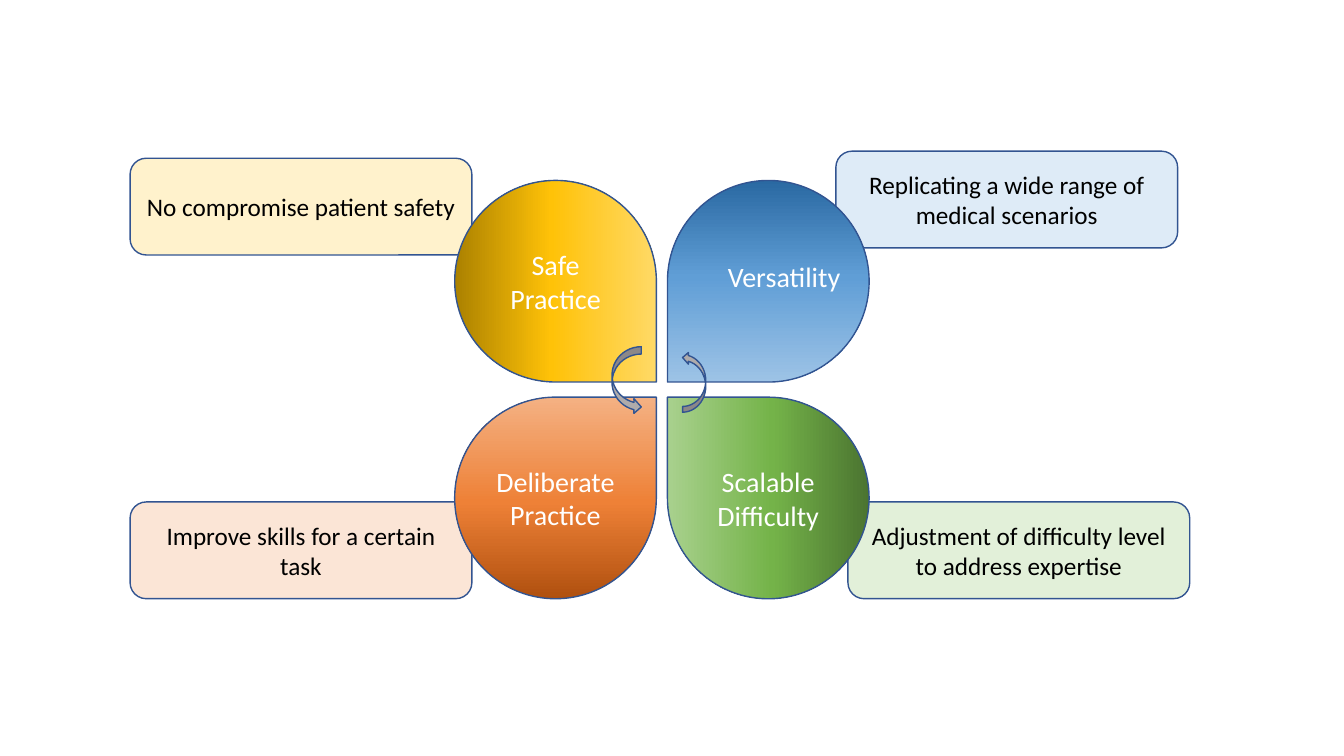
"""Build a four-petal slide on the benefits of simulation training."""
from copy import deepcopy

from pptx import Presentation
from pptx.dml.color import RGBColor
from pptx.enum.shapes import MSO_SHAPE
from pptx.enum.text import MSO_ANCHOR, MSO_AUTO_SIZE, PP_ALIGN
from pptx.oxml.ns import qn
from pptx.util import Pt

EMU_PER_PX = 9144
OUTLINE = "325491"
ARROW_FILL = "AFABAB"
CARD_SIZE = (339, 96)
PETAL_SIZE = (200, 200)
LEFT, RIGHT = 451, 662
TOP, BOTTOM = 179, 394
STOP_POSITIONS = (0, 0.48, 1)

CARDS = [
    ("No compromise patient safety", 129, 157, "FFF2CC"),
    ("Improve skills for a certain task", 129, 498, "FBE5D6"),
    ("Adjustment of difficulty level to address expertise", 841, 498, "E2F0D9"),
    ("Replicating a wide range of medical scenarios", 829, 150, "DEEBF7"),
]
PETALS = [
    (["Deliberate", "Practice"], LEFT, BOTTOM, 0, "horz", ("B0500F", "EE8137", "F4B183")),
    (["Safe", "Practice"], LEFT, TOP, 90, "vert270", ("AB8100", "FFC208", "FFD966")),
    (["Scalable", "Difficulty"], RIGHT, BOTTOM, 270, "vert", ("4B7430", "74B349", "A9D18E")),
    ([], RIGHT, TOP, 180, "horz", ("2A69A2", "609ED6", "9DC3E6")),
]


def px(*lengths):
    """Turn pixel lengths into EMU."""
    return [length * EMU_PER_PX for length in lengths]


def color(hex_text):
    """Turn a hex string into a colour."""
    return RGBColor.from_string(hex_text)


def add_outlined(slide, kind, left, top, width, height):
    """Add a preset shape with the common outline and no shadow."""
    shape = slide.shapes.add_shape(kind, *px(left, top, width, height))
    shape.shadow.inherit = False
    shape.line.color.rgb = color(OUTLINE)
    shape.line.width = Pt(1)
    return shape


def fill_solid(shape, hex_text):
    """Fill a shape with one colour."""
    shape.fill.solid()
    shape.fill.fore_color.rgb = color(hex_text)


def fill_gradient(shape, hex_texts):
    """Fill a shape with a three-colour gradient running upwards."""
    shape.fill.gradient()
    shape.fill.gradient_angle = 90
    stop_list = shape._element.spPr.find(qn("a:gradFill")).find(qn("a:gsLst"))
    stop_list.append(deepcopy(stop_list[-1]))
    for stop, position, hex_text in zip(shape.fill.gradient_stops, STOP_POSITIONS, hex_texts):
        stop.position = position
        stop.color.rgb = color(hex_text)


def write_lines(shape, lines, size, hex_text, alignment=PP_ALIGN.CENTER):
    """Write one paragraph per line in the slide font."""
    frame = shape.text_frame
    frame.text = "\n".join(lines)
    for paragraph in frame.paragraphs:
        paragraph.alignment = alignment
        paragraph.font.name = "Calibri"
        paragraph.font.size = Pt(size)
        paragraph.font.color.rgb = color(hex_text)


def add_card(slide, text, left, top, hex_text):
    """Add a rounded card with an explanation."""
    card = add_outlined(slide, MSO_SHAPE.ROUNDED_RECTANGLE, left, top, *CARD_SIZE)
    fill_solid(card, hex_text)
    card.text_frame.vertical_anchor = MSO_ANCHOR.MIDDLE
    write_lines(card, [text], 18, "000000")


def add_petal(slide, lines, left, top, rotation, text_direction, hex_texts):
    """Add a teardrop petal whose text stays upright."""
    petal = add_outlined(slide, MSO_SHAPE.TEAR, left, top, *PETAL_SIZE)
    petal.rotation = rotation
    fill_gradient(petal, hex_texts)
    if lines:
        petal.text_frame.vertical_anchor = MSO_ANCHOR.MIDDLE
        petal.text_frame._txBody.bodyPr.set("vert", text_direction)
        write_lines(petal, lines, 20, "FFFFFF")


def add_label(slide, text, left, top, width, height):
    """Add an unwrapped white label."""
    label = slide.shapes.add_textbox(*px(left, top, width, height))
    label.text_frame.word_wrap = False
    label.text_frame.auto_size = MSO_AUTO_SIZE.SHAPE_TO_FIT_TEXT
    write_lines(label, [text], 20, "FFFFFF", PP_ALIGN.LEFT)


def add_cycle_arrow(slide, kind, left, top, width, height):
    """Add a curved grey arrow and return it."""
    arrow = add_outlined(slide, kind, left, top, width, height)
    fill_solid(arrow, ARROW_FILL)
    return arrow


def main():
    """Build and save the slide."""
    presentation = Presentation()
    presentation.slide_width, presentation.slide_height = px(1333, 750)
    slide = presentation.slides.add_slide(presentation.slide_layouts[6])
    for card in CARDS:
        add_card(slide, *card)
    for petal in PETALS:
        add_petal(slide, *petal)
    add_label(slide, "Versatility", 712, 253, 133, 44)
    add_cycle_arrow(slide, MSO_SHAPE.CURVED_RIGHT_ARROW, 607, 344, 29, 67)
    up_arrow = add_cycle_arrow(slide, MSO_SHAPE.CURVED_LEFT_ARROW, 677, 349, 23, 60)
    up_arrow._element.spPr.xfrm.set("flipV", "1")
    presentation.save("out.pptx")


if __name__ == "__main__":
    main()
